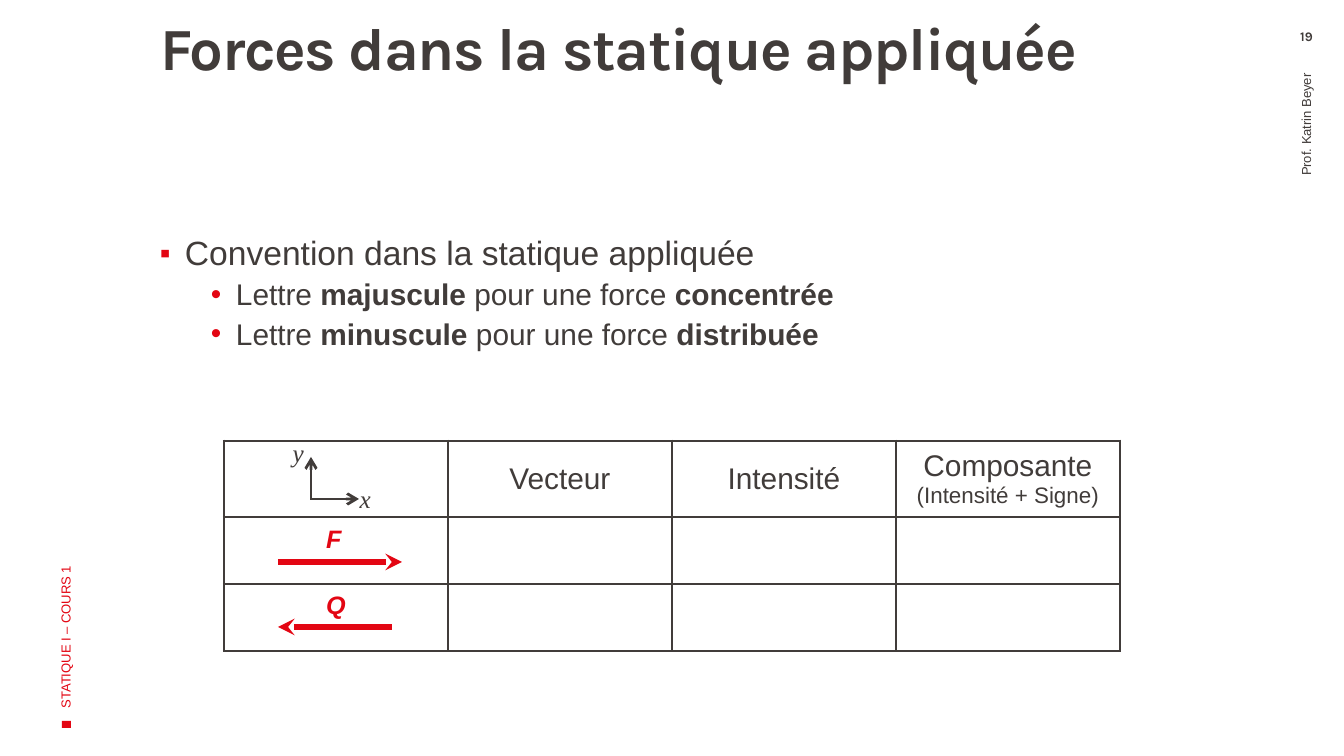
"""Build the slide on the sign and letter conventions for forces in statics."""
from lxml import etree
from pptx import Presentation, util as u
from pptx.dml.color import RGBColor
from pptx.enum import shapes, text
from pptx.oxml.ns import qn

SCALE = 914400 / 134.4
RED, DARK = "E30613", "413C3A"
AL, ANC = text.PP_ALIGN, text.MSO_ANCHOR


def px(*lengths):
    return [round(n * SCALE) for n in lengths]


def write(p, runs, **base):
    for words, extra in runs:
        r = p.add_run()
        r.text = words
        fmt = {"name": "Arial", "color": DARK, **base, **extra}
        r.font.color.rgb = RGBColor.from_string(fmt.pop("color"))
        r.font.size = u.Pt(fmt.pop("size"))
        for key, value in fmt.items():
            setattr(r.font, key, value)


prs = Presentation()
prs.slide_width, prs.slide_height = px(1344, 756)
s = prs.slides.add_slide(prs.slide_layouts[6])

sp = s.shapes.add_shape(shapes.MSO_SHAPE.RECTANGLE, *px(62, 721, 9, 7))
sp.shadow.inherit = False
sp.fill.solid()
sp.fill.fore_color.rgb = RGBColor.from_string(RED)
sp.line.fill.background()

sp = s.shapes.add_textbox(*px(133, 230, 1124, 211))
tf = sp.text_frame
tf.word_wrap = True
tf.margin_left = px(27)[0]
bold = {"bold": True}
lines = [
    (0, [("Convention dans la statique appliquée", {})]),
    (1, [("Lettre ", {}), ("majuscule", bold), (" pour une force ", {}), ("concentrée", bold)]),
    (1, [("Lettre ", {}), ("minuscule", bold), (" pour une force ", {}), ("distribuée", bold)]),
]
for i, (level, runs) in enumerate(lines):
    p = tf.add_paragraph() if i else tf.paragraphs[0]
    p.level = level
    p.line_spacing = 0.9
    p.space_before = u.Pt(3.8 if i else 0)
    pPr = p._p.get_or_add_pPr()
    pPr.set("marL", str(px((25, 76)[level])[0]))
    pPr.set("indent", str(px(-25)[0]))
    color = etree.SubElement(pPr, qn("a:buClr"))
    etree.SubElement(color, qn("a:srgbClr"), val=RED)
    etree.SubElement(pPr, qn("a:buSzPct"), val=("90000", "100000")[level])
    etree.SubElement(pPr, qn("a:buFont"), typeface="Arial")
    etree.SubElement(pPr, qn("a:buChar"), char="▪•"[level])
    write(p, runs, size=(18, 16)[level])

tbl = s.shapes.add_table(3, 4, *px(224, 441, 896, 206)).table
for row, height in zip(tbl.rows, px(72, 67, 67)):
    row.height = height
for col in tbl.columns:
    col.width = px(224)[0]
heads = ["", "Vecteur", "Intensité", "Composante "]
for i, cell in enumerate(tbl.iter_cells()):
    tcPr = cell._tc.get_or_add_tcPr()
    for side in ("lnL", "lnR", "lnT", "lnB"):
        ln = etree.SubElement(tcPr, qn("a:" + side), w=str(u.Pt(1.5)))
        fill = etree.SubElement(ln, qn("a:solidFill"))
        etree.SubElement(fill, qn("a:srgbClr"), val=DARK)
    cell.fill.background()
    cell.vertical_anchor = ANC.MIDDLE
    if 0 < i < len(heads):
        p = cell.text_frame.paragraphs[0]
        p.alignment = AL.CENTER
        write(p, [(heads[i], {})], size=16)
        if i == 3:
            write(p, [("(Intensité + Signe)", {})], size=12)

axes = s.shapes.add_group_shape()
arrows = [
    (s, (278, 562, 402, 562), RED, 3, "stealth"),
    (s, (392, 627, 278, 627), RED, 3, "stealth"),
    (axes, (311, 499, 359, 499), DARK, 1.5, "arrow"),
    (axes, (311, 500, 311, 457), DARK, 1.5, "arrow"),
]
for parent, ends, color, width, head in arrows:
    sp = parent.shapes.add_connector(shapes.MSO_CONNECTOR.STRAIGHT, *px(*ends))
    sp.line.color.rgb = RGBColor.from_string(color)
    sp.line.width = u.Pt(width)
    etree.SubElement(sp.line._get_or_add_ln(), qn("a:tailEnd"), type=head)
    etree.SubElement(sp._element.spPr, qn("a:effectLst"))

title = {"size": 32, "name": "Karla", "bold": True}
number = {"size": 7, "name": "Karla", "bold": True}
force = {"size": 13.5, "color": RED, "bold": True, "italic": True}
axis = {"size": 13.5, "name": "Times New Roman", "italic": True}
wrap = {"word_wrap": True}
side = {"word_wrap": True, "vertical_anchor": ANC.MIDDLE}
labels = [
    (s, "Forces dans la statique appliquée", (133, 19, 1031, 157), title, 0, AL.LEFT,
     {**wrap, "margin_left": px(27)[0], "margin_top": 0}),
    (s, "STATIQUE I – COURS 1", (-180, 409, 491, 134), {"size": 7, "color": RED}, 270, AL.LEFT, side),
    (s, "Prof. Katrin Beyer", (1046, 276, 520, 75), {"size": 7}, 270, AL.RIGHT,
     {**side, "margin_right": px(20)[0]}),
    (s, "19", (1269, 28, 75, 24), number, 0, AL.CENTER, {**wrap, "margin_top": 0, "margin_bottom": 0}),
    (s, "F", (313, 517, 44, 44), force, 0, AL.LEFT, {}),
    (s, "Q", (313, 583, 47, 44), force, 0, AL.LEFT, {}),
    (axes, "x", (351, 477, 22, 27), axis, 0, AL.LEFT, {}),
    (axes, "y", (284, 431, 22, 27), axis, 0, AL.LEFT, {}),
]
for parent, words, box, fmt, rotation, align, frame in labels:
    sp = parent.shapes.add_textbox(*px(*box))
    sp.rotation = rotation
    tf = sp.text_frame
    for key, value in {"word_wrap": False, **frame}.items():
        setattr(tf, key, value)
    p = tf.paragraphs[0]
    p.alignment = align
    write(p, [(words, {})], **fmt)
    if fmt is title:
        p.line_spacing = 0.9
        p.runs[0].font._element.set("spc", "-70")

prs.save("out.pptx")
